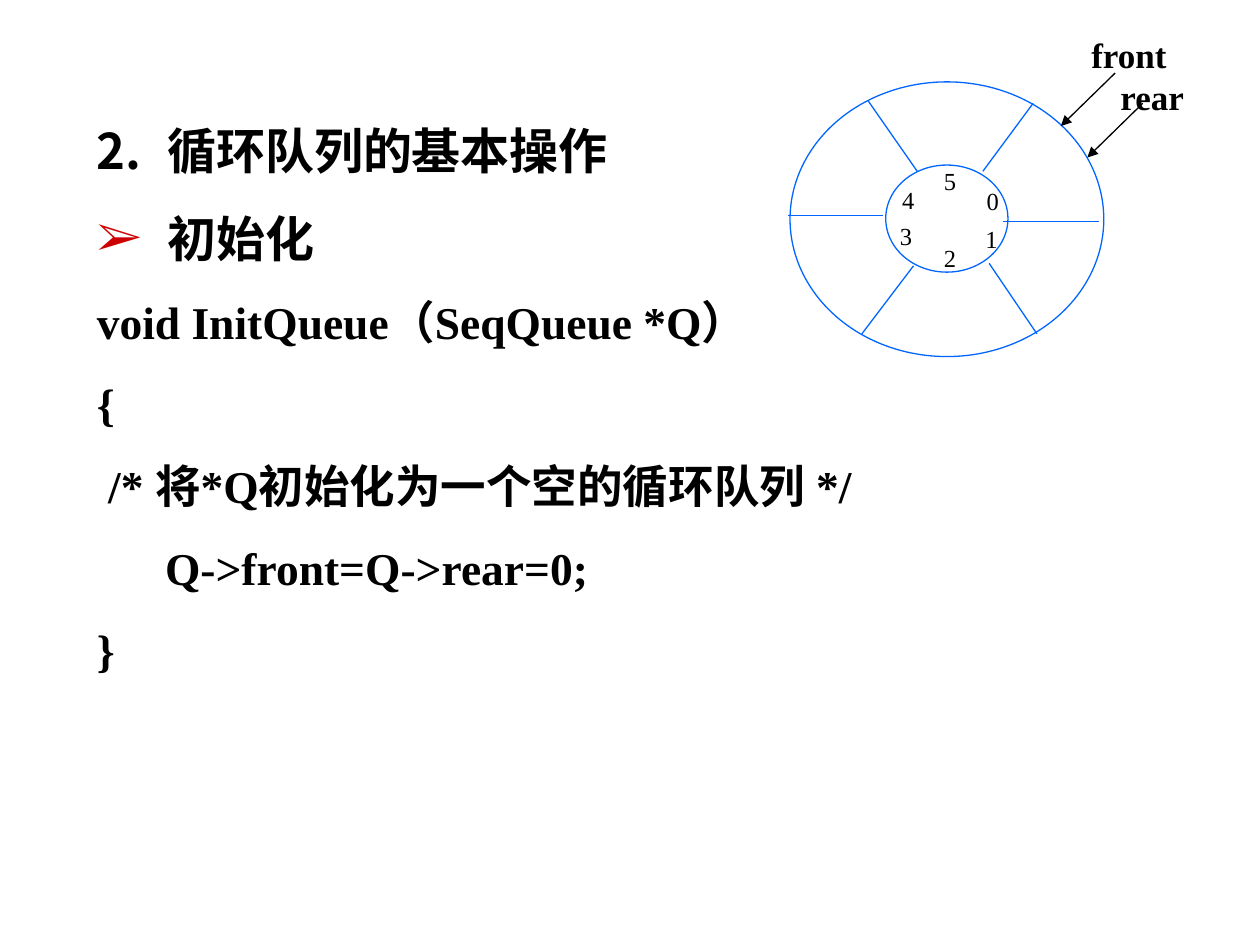
from lxml import etree
from pptx import Presentation
from pptx import util as u
from pptx.dml.color import RGBColor
from pptx.enum import shapes, text
from pptx.oxml import ns

BLACK, BLUE, RED = "000000", "0066FF", "CC0000"
FONT = "Times New Roman"


def color(value):
    return RGBColor.from_string(value)


def style(para, size, bold):
    para.font.name = FONT
    para.font.size = u.Pt(size)
    para.font.bold = bold
    para.font.color.rgb = color(BLACK)


deck = Presentation()
deck.slide_width, deck.slide_height = u.Inches(10), u.Inches(7.5)
page = deck.slides.add_slide(deck.slide_layouts[6])

# Heading, subheading and code: text, size, bullet colour, bullet tag, bullet attributes
lines = [
    ("循环队列的基本操作", 28, BLACK, "a:buAutoNum", {"type": "arabicPeriod", "startAt": "2"}),
    ("初始化", 28, RED, "a:buChar", {"char": "➢"}),
    ("void InitQueue（SeqQueue *Q）", 26, None, "a:buNone", {}),
    ("{", 26, None, "a:buNone", {}),
    (" /* 将*Q初始化为一个空的循环队列 */", 26, None, "a:buNone", {}),
    ("      Q->front=Q->rear=0;", 26, None, "a:buNone", {}),
    ("}", 26, None, "a:buNone", {}),
]
box = page.shapes.add_textbox(u.Inches(0.67), u.Inches(0.67), u.Inches(8.27), u.Inches(6))
frame = box.text_frame
frame.word_wrap = True
for index, (words, size, bullet_color, tag, attributes) in enumerate(lines):
    para = frame.add_paragraph() if index else frame.paragraphs[0]
    para.text = words
    para.line_spacing = 1.5
    props = para._p.get_or_add_pPr()
    props.set("marL", str(u.Inches(0.56)))
    props.set("indent", str(u.Inches(-0.56)))
    if bullet_color:
        fill = etree.SubElement(props, ns.qn("a:buClr"))
        etree.SubElement(fill, ns.qn("a:srgbClr"), val=bullet_color)
    if tag == "a:buChar":
        etree.SubElement(props, ns.qn("a:buFont"), typeface=FONT)
    etree.SubElement(props, ns.qn(tag), attributes)
    style(para, size, True)

# Ring of the circular queue
for left, top, width, height in [(6.27, 0.65, 2.49, 2.18), (7.03, 1.31, 0.97, 0.85)]:
    oval = page.shapes.add_shape(shapes.MSO_SHAPE.OVAL, u.Inches(left), u.Inches(top),
                                 u.Inches(width), u.Inches(height))
    oval.shadow.inherit = False
    oval.fill.background()
    oval.line.color.rgb = color(BLUE)
    oval.line.width = u.Pt(0.75)

# Cell dividers, then the two pointer arrows
dividers = [
    (6.25, 1.71, 7.01, 1.71), (7.96, 1.76, 8.72, 1.76), (6.89, 0.8, 7.28, 1.36),
    (7.85, 2.09, 8.23, 2.65), (8.2, 0.82, 7.8, 1.36), (7.25, 2.11, 6.84, 2.65),
]
pointers = [(9.07, 0.82, 8.63, 1.25), (8.85, 0.58, 8.42, 1)]
for ends in dividers + pointers:
    line = page.shapes.add_connector(shapes.MSO_CONNECTOR.STRAIGHT, *map(u.Inches, ends))
    line.line.color.rgb = color(BLACK if ends in pointers else BLUE)
    line.line.width = u.Pt(0.75)
    if ends in pointers:
        etree.SubElement(line.line._get_or_add_ln(), ns.qn("a:tailEnd"), type="triangle")
    etree.SubElement(line._element.spPr, ns.qn("a:effectLst"))

# Cell numbers and pointer names
labels = [
    ("0", 7.73, 1.43, 0.3, 0.33, 14), ("1", 7.72, 1.73, 0.3, 0.33, 14),
    ("2", 7.39, 1.88, 0.3, 0.33, 14), ("3", 7.04, 1.71, 0.3, 0.33, 14),
    ("4", 7.06, 1.42, 0.3, 0.33, 14), ("5", 7.39, 1.27, 0.3, 0.33, 14),
    ("rear", 8.83, 0.55, 0.63, 0.43, 20), ("front", 8.59, 0.22, 0.74, 0.43, 20),
]
for words, left, top, width, height, size in labels:
    box = page.shapes.add_textbox(u.Inches(left), u.Inches(top), u.Inches(width), u.Inches(height))
    frame = box.text_frame
    frame.word_wrap = False
    frame.margin_left = frame.margin_right = 0
    frame.vertical_anchor = text.MSO_ANCHOR.MIDDLE
    para = frame.paragraphs[0]
    para.text = words
    para.alignment = text.PP_ALIGN.CENTER
    style(para, size, size == 20)

deck.save("out.pptx")
